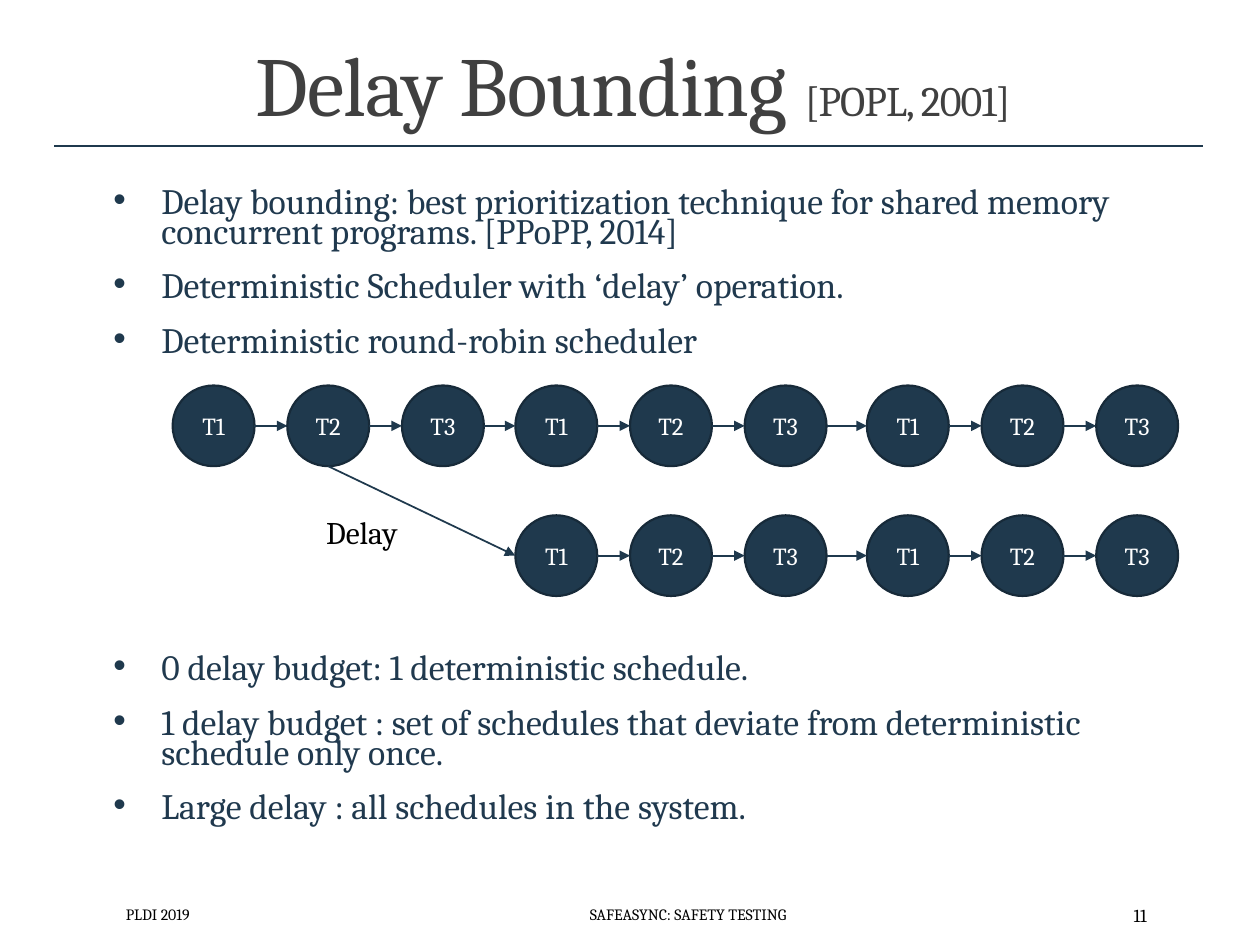
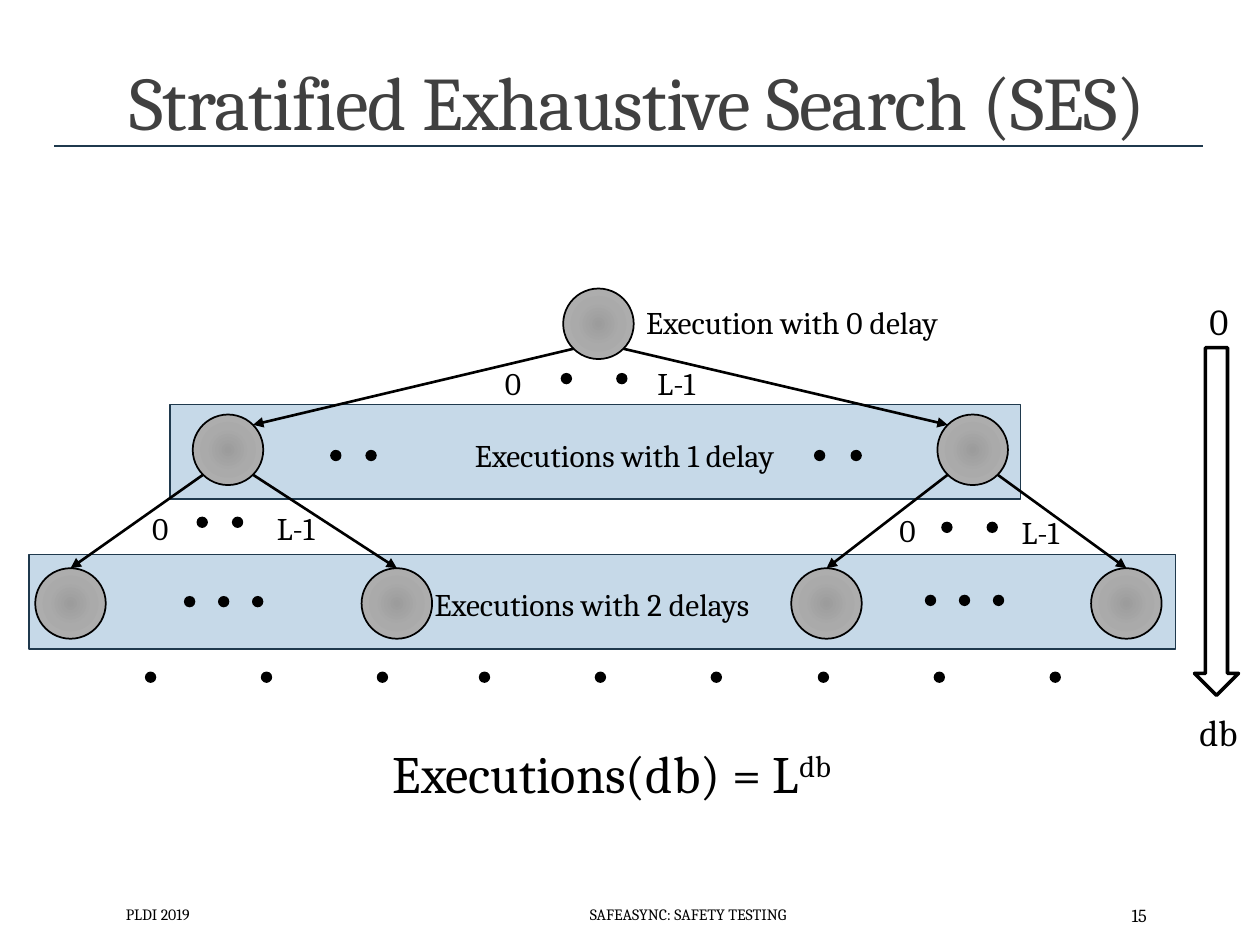
import math
from itertools import pairwise

from lxml import etree
from pptx import Presentation
from pptx.dml.color import RGBColor
from pptx.enum import shapes as sh, text as tx
from pptx.oxml import parse_xml
from pptx.oxml.ns import nsdecls, qn
from pptx.util import Inches, Pt

NAVY = RGBColor(0x1F, 0x39, 0x4D)
EDGE = RGBColor(0x17, 0x2A, 0x39)
INK = RGBColor(0x20, 0x39, 0x4E)
GREY = RGBColor(0x40, 0x40, 0x40)
SKY = RGBColor(0xC6, 0xD9, 0xE8)
BLACK = RGBColor(0, 0, 0)
WHITE = RGBColor(255, 255, 255)
FONT = "Cambria"
SHADES = [(0, "9C9C9C"), (45, "AAAAAA"), (100, "B4B4B4")]
LEFT, MID, RIGHT = tx.PP_ALIGN.LEFT, tx.PP_ALIGN.CENTER, tx.PP_ALIGN.RIGHT
OVAL, RECT, DOWN = sh.MSO_SHAPE.OVAL, sh.MSO_SHAPE.RECTANGLE, sh.MSO_SHAPE.DOWN_ARROW

# Delay bounding: (text, space before in points)
POINTS = [
    ("Delay bounding: best prioritization technique for shared memory "
     "concurrent programs. [PPoPP, 2014]", 12),
    ("Deterministic Scheduler with ‘delay’ operation.", 12),
    ("Deterministic round-robin scheduler", 12),
    ("0 delay budget: 1 deterministic schedule.", 168),
    ("1 delay budget : set of schedules that deviate from deterministic "
     "schedule only once.", 12),
    ("Large delay : all schedules in the system.", 12),
]
ROUNDS = [1.37, 4.09, 6.88]  # left edge of each round of threads
THREADS = ["T1", "T2", "T3"]
STEP, WIDE, HIGH = 0.91, 0.65, 0.64
ROWS = [(3.06, ROUNDS), (4.09, ROUNDS[1:])]

# Stratified search
BANDS = [(0.23, 4.4, 9.1, 0.75), (1.35, 3.21, 6.75, 0.75)]
BALL, DOT = 0.56, 0.09
NODES = {"root": (4.47, 2.29), "left": (1.53, 3.29), "right": (7.44, 3.29),
         "a": (0.28, 4.51), "b": (2.87, 4.51), "c": (6.28, 4.51), "d": (8.66, 4.51)}
# from, angle there, to, angle there (degrees clockwise from the right)
EDGES = [("root", 135, "left", 315), ("root", 45, "right", 225),
         ("left", 135, "a", 270), ("left", 45, "b", 270),
         ("right", 135, "c", 270), ("right", 45, "d", 270)]
# left, top, step, count
DOTS = [(4.45, 2.96, 0.44, 2), (1.56, 4.1, 0.28, 2), (7.47, 4.14, 0.36, 2),
        (2.62, 3.57, 0.28, 2), (6.46, 3.57, 0.29, 2),
        (1.46, 4.73, 0.27, 3), (7.34, 4.72, 0.27, 3),
        (1.15, 5.33, 0.92, 3), (3.8, 5.33, 0.92, 3), (6.49, 5.33, 0.92, 3)]
# text, left, top, width, size
LABELS = [
    ("0", 3.91, 2.84, 0.34, 18), ("L-1", 5.12, 2.84, 0.56, 18),
    ("0", 1.11, 3.99, 0.34, 18), ("L-1", 2.1, 3.99, 0.56, 18),
    ("0", 7.04, 4.01, 0.34, 18), ("L-1", 8.01, 4.02, 0.56, 18),
    ("Execution with 0 delay", 5.03, 2.36, 2.78, 18),
    ("Executions with 1 delay", 3.67, 3.41, 2.88, 18),
    ("Executions with 2 delays", 3.35, 4.59, 2.98, 18),
    ("0", 9.5, 2.32, 0.36, 21), ("db", 9.42, 5.58, 0.53, 21),
]


def inch(*nums):
    return [Inches(n) for n in nums]


def write(para, words, size=18, color=BLACK, align=LEFT, **attrs):
    """Add a run; attrs go straight to its properties (spc, baseline)."""
    para.alignment = align
    run = para.add_run()
    run.text = words
    font = run.font
    font.name, font.size, font.color.rgb = FONT, Pt(size), color
    for key, val in attrs.items():
        run._r.get_or_add_rPr().set(key, str(val))


def place(slot, box):
    slot.left, slot.top, slot.width, slot.height = inch(*box)
    slot.text_frame.auto_size = tx.MSO_AUTO_SIZE.NONE


def label(slide, words, box, anchor=None, fit=True, **fmt):
    frame = slide.shapes.add_textbox(*inch(*box)).text_frame
    frame.word_wrap = not fit
    if fit:
        frame.auto_size = tx.MSO_AUTO_SIZE.SHAPE_TO_FIT_TEXT
    if anchor:
        frame.vertical_anchor = anchor
    write(frame.paragraphs[0], words, **fmt)
    return frame.paragraphs[0]


def draw(slide, kind, box, fill=None, line=None, width=1):
    shape = slide.shapes.add_shape(kind, *inch(*box))
    shape.shadow.inherit = False
    if fill is None:
        shape.fill.background()
    else:
        shape.fill.solid()
        shape.fill.fore_color.rgb = fill
    if line is None:
        shape.line.fill.background()
    else:
        shape.line.color.rgb, shape.line.width = line, Pt(width)
    return shape


def link(slide, start, end, color=NAVY, width=1, arrow=True):
    line = slide.shapes.add_connector(sh.MSO_CONNECTOR.STRAIGHT, *inch(*start, *end))
    line.line.color.rgb, line.line.width = color, Pt(width)
    if arrow:
        etree.SubElement(line.line._get_or_add_ln(), qn("a:tailEnd"), type="triangle")
    etree.SubElement(line._element.spPr, qn("a:effectLst"))


def shade(shape):
    """Swap the empty fill for a radial grey gradient."""
    stops = "".join(f'<a:gs pos="{pos * 1000}"><a:srgbClr val="{rgb}"/></a:gs>'
                    for pos, rgb in SHADES)
    grad = parse_xml(
        f'<a:gradFill {nsdecls("a")}><a:gsLst>{stops}</a:gsLst><a:path path="circle">'
        '<a:fillToRect l="100000" t="100000" r="100000" b="100000"/></a:path></a:gradFill>')
    props = shape._element.spPr
    props.replace(props.find(qn("a:noFill")), grad)


def bullet(para):
    props = para._p.get_or_add_pPr()
    props.set("marL", str(Inches(0.38)))
    props.set("indent", str(Inches(-0.38)))
    color = etree.SubElement(props, qn("a:buClr"))
    etree.SubElement(color, qn("a:srgbClr"), val=str(NAVY))
    etree.SubElement(props, qn("a:buChar"), char="•")


def base(deck, layout, box, title, number):
    """Start a slide with its title runs, rule and footer."""
    slide = deck.slides.add_slide(deck.slide_layouts[layout])
    link(slide, (0.43, 1.16), (9.55, 1.16), arrow=False)
    place(slide.shapes.title, box)
    frame = slide.shapes.title.text_frame
    frame.vertical_anchor = tx.MSO_ANCHOR.BOTTOM
    para = frame.paragraphs[0]
    para.line_spacing = 0.85
    for words, size in title:
        write(para, words, size=size, color=GREY, align=MID, spc=-50)
    for words, left, width, size, align in [
            ("PLDI 2019", 0.9, 2.03, 9, LEFT),
            ("SAFEASYNC: SAFETY TESTING", 2.99, 4.94, 9, MID),
            (number, 8.12, 1.08, 10.5, RIGHT)]:
        label(slide, words, (left, 7.06, width, 0.4), fit=False,
              anchor=tx.MSO_ANCHOR.MIDDLE, size=size, align=align)
    return slide


def thread(slide, name, left, top):
    shape = draw(slide, OVAL, (left, top, WIDE, HIGH), NAVY, EDGE, 1.25)
    shape.text_frame.vertical_anchor = tx.MSO_ANCHOR.MIDDLE
    write(shape.text_frame.paragraphs[0], name, size=14, color=WHITE, align=MID)


def delay(deck):
    slide = base(deck, 1, (0.9, 0.23, 8.25, 0.88),
                 [("Delay Bounding ", 48), ("[POPL, 2001]", 24)], "11")
    body = slide.placeholders[1]
    place(body, (0.9, 1.46, 8.25, 5.29))
    frame = body.text_frame
    frame.margin_left = frame.margin_right = 0
    for i, (words, gap) in enumerate(POINTS):
        para = frame.add_paragraph() if i else frame.paragraphs[0]
        para.line_spacing, para.space_before, para.space_after = 0.7, Pt(gap), Pt(2)
        write(para, words, size=20.4, color=INK)
        bullet(para)
    for top, rounds in ROWS:
        lefts = [x + i * STEP for x in rounds for i in range(len(THREADS))]
        for i, left in enumerate(lefts):
            thread(slide, THREADS[i % len(THREADS)], left, top)
        mid = top + HIGH / 2
        for here, there in pairwise(lefts):
            link(slide, (here + WIDE, mid), (there, mid))
    link(slide, (ROUNDS[0] + STEP + WIDE / 2, ROWS[0][0] + HIGH),
         (ROUNDS[1], ROWS[1][0] + HIGH / 2))
    label(slide, "Delay", (2.49, 4.02, 0.83, 0.4))


def rim(node, angle):
    """Point on a node's edge at the given angle."""
    left, top = NODES[node]
    turn = math.radians(angle)
    half = BALL / 2
    return left + half * (1 + math.cos(turn)), top + half * (1 + math.sin(turn))


def search(deck):
    slide = base(deck, 5, (0.75, 0.12, 8.62, 1.09),
                 [("Stratified Exhaustive Search (SES)", 43.2)], "15")
    for box in BANDS:
        draw(slide, RECT, box, SKY, NAVY)
    for spot in NODES.values():
        shade(draw(slide, OVAL, (*spot, BALL, BALL), line=BLACK))
    for here, out, there, into in EDGES:
        link(slide, rim(here, out), rim(there, into), BLACK, 1.5)
    for left, top, step, count in DOTS:
        for i in range(count):
            draw(slide, OVAL, (left + i * step, top, DOT, DOT), BLACK)
    draw(slide, DOWN, (9.48, 2.76, 0.35, 2.76), line=BLACK, width=2)
    for words, left, top, width, size in LABELS:
        label(slide, words, (left, top, width, 0.4 if size == 18 else 0.45), size=size)
    sums = label(slide, "Executions(db) = L", (3.02, 5.83, 4, 0.61), size=30)
    write(sums, "db", size=30, baseline=30000)


def main():
    deck = Presentation()
    deck.slide_width, deck.slide_height = inch(10, 7.5)
    delay(deck)
    search(deck)
    deck.save("out.pptx")


if __name__ == "__main__":
    main()
